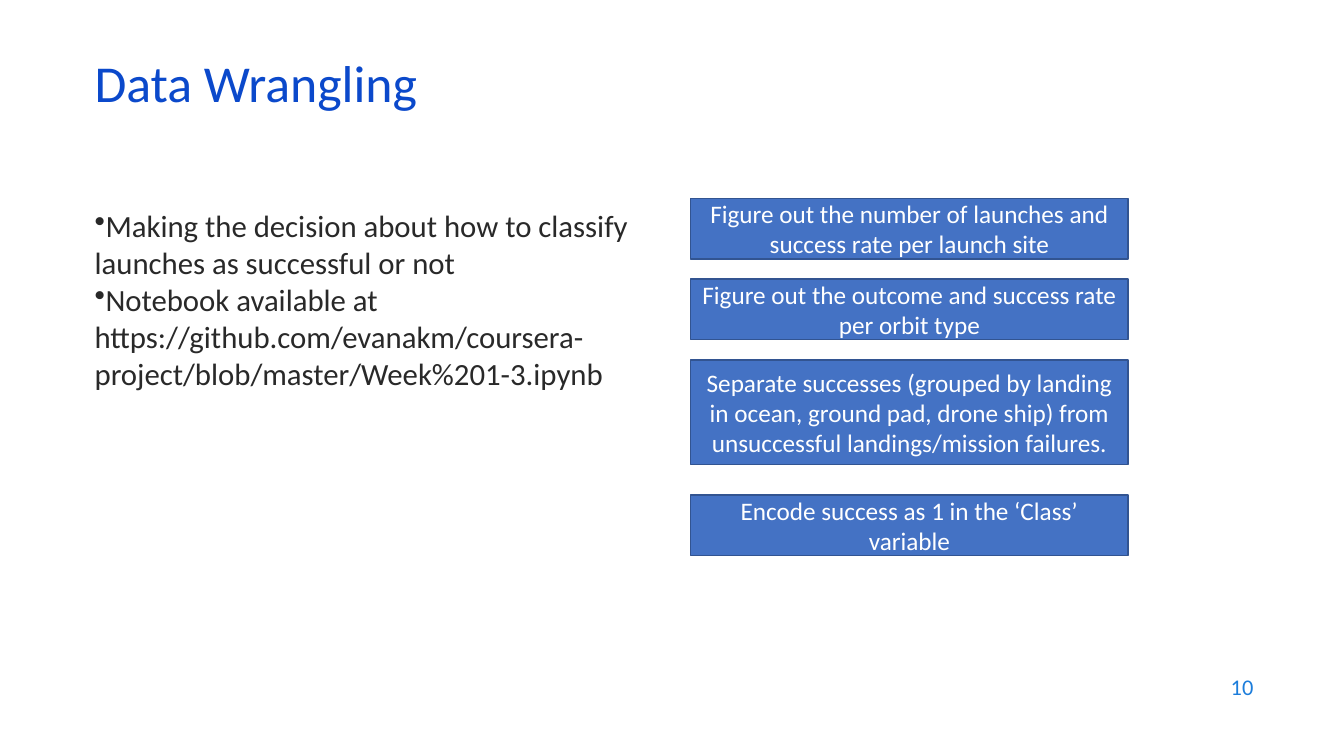
from lxml import etree
from pptx import Presentation
from pptx import util as u
from pptx.dml import color
from pptx.enum import shapes, text
from pptx.oxml import ns

HUES = {"title": "0B49CB", "body": "292929", "page": "1C7DDB",
        "fill": "4472C4", "line": "325491", "white": "FFFFFF"}
STEPS = [
    (1.97, 0.6, "Figure out the number of launches and success rate per launch site"),
    (2.77, 0.6, "Figure out the outcome and success rate per orbit type"),
    (3.57, 1.04, "Separate successes (grouped by landing in ocean, ground pad, "
                 "drone ship) from unsuccessful landings/mission failures."),
    (4.91, 0.6, "Encode success as 1 in the ‘Class’ variable"),
]
NOTES = [
    "Making the decision about how to classify launches as successful or not",
    "Notebook available at https://github.com/evanakm/coursera-project/"
    "blob/master/Week%201-3.ipynb",
]


def rgb(name):
    return color.RGBColor.from_string(HUES[name])


def write(frame, *lines, size, hue, align=text.PP_ALIGN.LEFT,
          anchor=text.MSO_ANCHOR.MIDDLE, space=1.0, mark=None):
    frame.word_wrap = True
    frame.vertical_anchor = anchor
    for i, line in enumerate(lines):
        para = frame.add_paragraph() if i else frame.paragraphs[0]
        para.alignment = align
        para.line_spacing = space
        if mark:
            props = para._p.get_or_add_pPr()
            props.set("marL", "0")
            props.set("indent", "0")
            etree.SubElement(props, ns.qn("a:buChar")).set("char", mark)
        run = para.add_run()
        run.text = line
        run.font.name = "Calibri"
        run.font.size = u.Pt(size)
        run.font.color.rgb = rgb(hue)


class Deck:
    """Holds the presentation, its style and the current slide."""

    def __init__(self):
        self.file = Presentation()
        self.file.slide_width = u.Inches(13.33)
        self.file.slide_height = u.Inches(7.5)
        self.slide = self.file.slides.add_slide(self.file.slide_layouts[6])

    def label(self, box, *lines, **style):
        area = self.slide.shapes.add_textbox(*map(u.Inches, box))
        write(area.text_frame, *lines, **style)

    def step(self, box, line):
        rect = self.slide.shapes.add_shape(
            shapes.MSO_SHAPE.RECTANGLE, *map(u.Inches, box))
        rect.shadow.inherit = False
        rect.fill.solid()
        rect.fill.fore_color.rgb = rgb("fill")
        rect.line.color.rgb = rgb("line")
        rect.line.width = u.Pt(1)
        write(rect.text_frame, line, size=18, hue="white",
              align=text.PP_ALIGN.CENTER)


def main():
    deck = Deck()
    deck.label((9.53, 6.59, 3, 0.44), "10", size=16, hue="page",
               align=text.PP_ALIGN.RIGHT)
    deck.label((0.84, 2, 5.82, 4.76), *NOTES, size=22, hue="body",
               anchor=text.MSO_ANCHOR.TOP, mark="•")
    deck.label((0.84, 0.59, 11.5, 0.6), "Data Wrangling", size=37,
               hue="title", space=0.7)
    for top, height, line in STEPS:
        deck.step((6.85, top, 4.34, height), line)
    deck.file.save("out.pptx")


if __name__ == "__main__":
    main()
